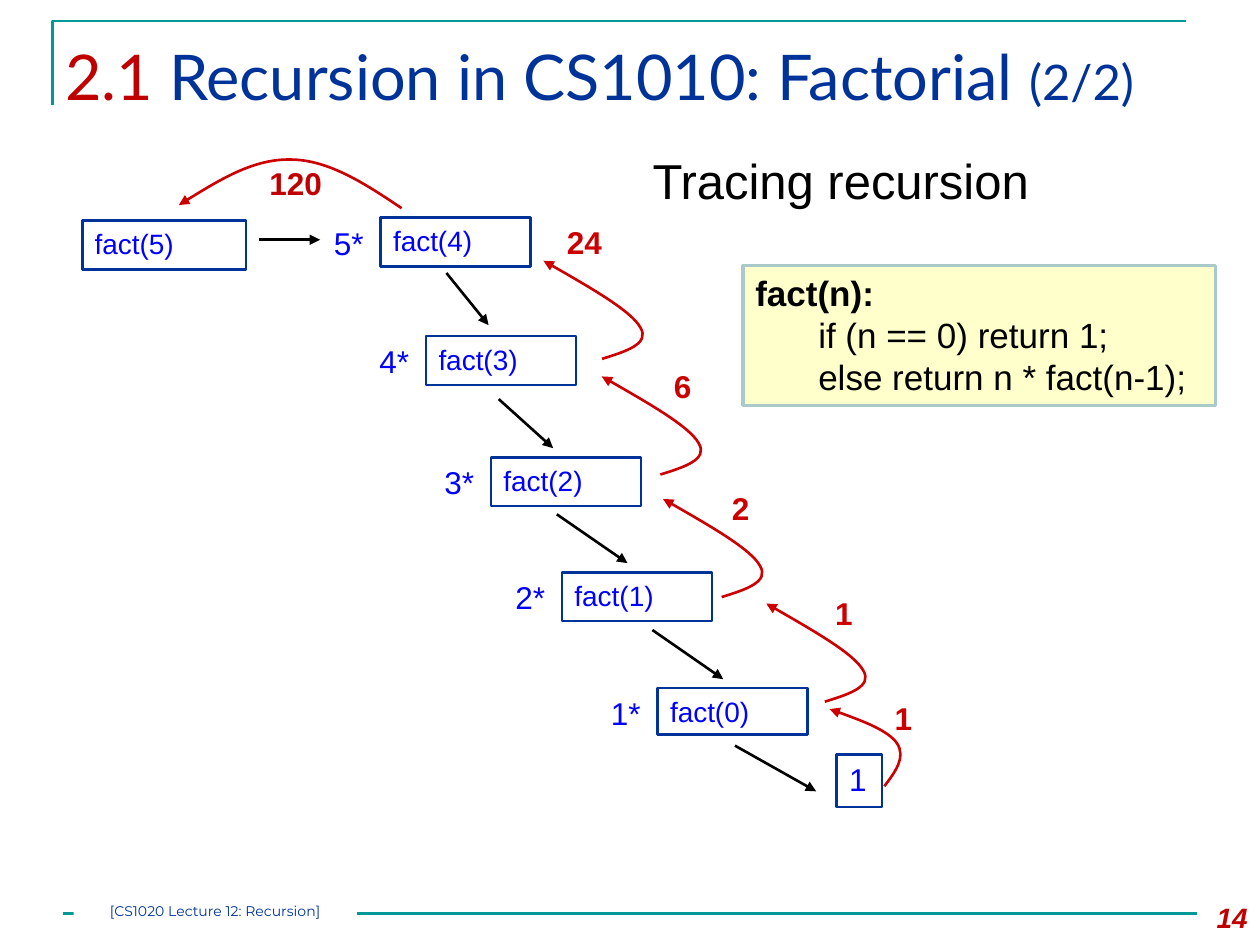
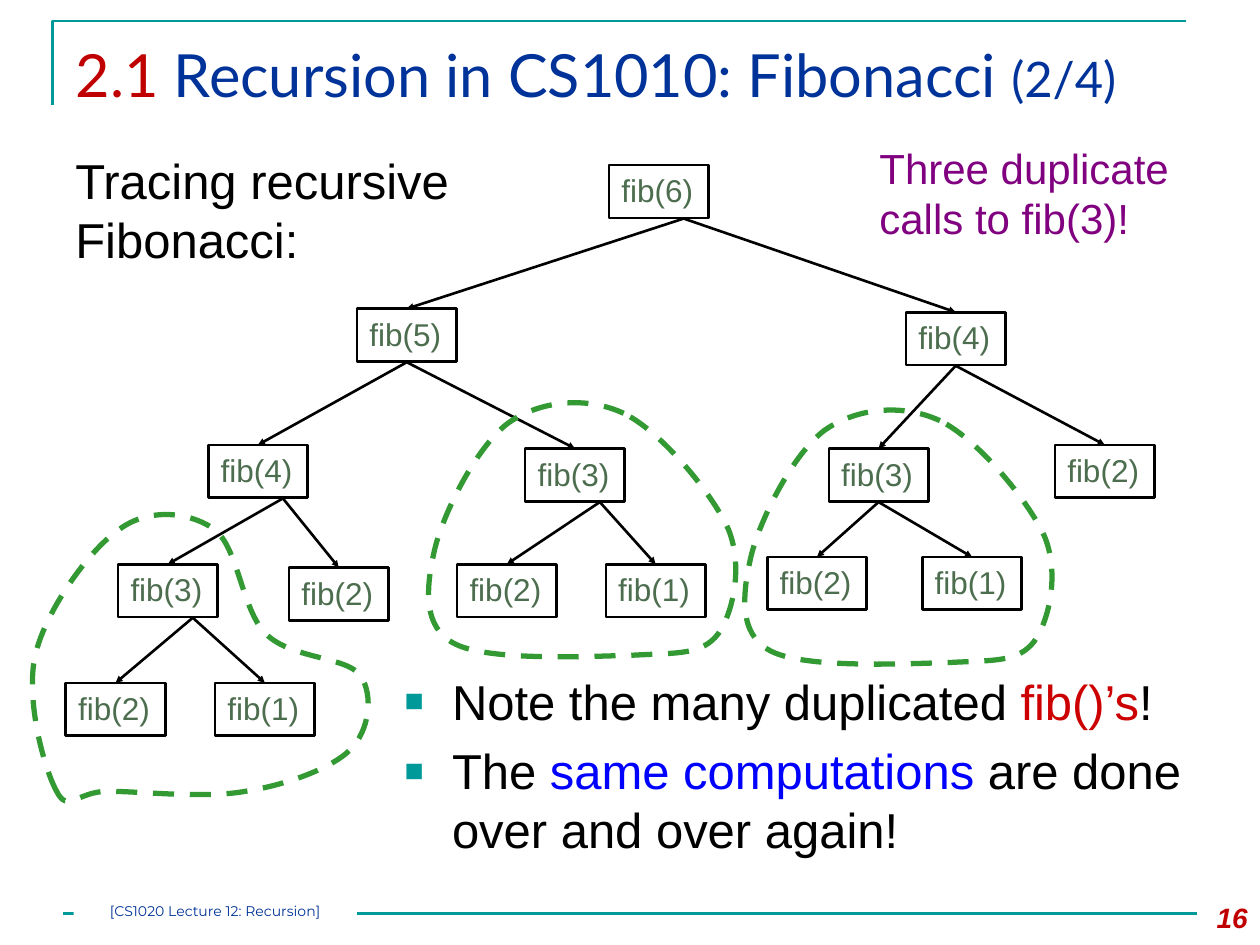
from lxml import etree
from pptx import Presentation
from pptx.dml.color import RGBColor
from pptx.enum.dml import MSO_LINE
from pptx.enum.shapes import MSO_CONNECTOR, MSO_SHAPE
from pptx.enum.text import MSO_ANCHOR, PP_ALIGN
from pptx.oxml.ns import qn
from pptx.util import Pt

DASH = MSO_LINE.DASH
STRAIGHT = MSO_CONNECTOR.STRAIGHT
RECT = MSO_SHAPE.RECTANGLE
TOP = MSO_ANCHOR.TOP
LEFT, CENTER, RIGHT = PP_ALIGN.LEFT, PP_ALIGN.CENTER, PP_ALIGN.RIGHT

# Colours
BLACK = RGBColor(0x00, 0x00, 0x00)
WHITE = RGBColor(0xFF, 0xFF, 0xFF)
TEAL = RGBColor(0x00, 0x99, 0x99)
NAVY = RGBColor(0x00, 0x33, 0x99)
BLUE = RGBColor(0x00, 0x00, 0xFF)
CRIMSON = RGBColor(0xC0, 0x00, 0x00)
RED = RGBColor(0xCC, 0x00, 0x00)
GREEN = RGBColor(0x33, 0x99, 0x33)
MOSS = RGBColor(0x4C, 0x6D, 0x4E)
PURPLE = RGBColor(0x80, 0x00, 0x80)
CREAM = RGBColor(0xFF, 0xFF, 0xCC)
MIST = RGBColor(0xAA, 0xCA, 0xCA)

# Factorial trace: corner and fill of fact(4) to fact(0), and the call arrows
CALLS = [(217.5, 124.2, None), (243.5, 192, None), (280.6, 261.3, None),
         (321.2, 327, WHITE), (375.8, 393.1, WHITE)]
STEPS = [
    (148.3, 137, 182.9, 137), (255.1, 156, 279.2, 185.8),
    (285, 228.1, 316.1, 256.1), (318.2, 293.9, 358.6, 321.8),
    (372.8, 360, 413.3, 388.1), (420, 426.1, 466.4, 452.2),
]
# Return arrows share one bend, given relative to the arrow tip
BEND = [(33.5, 56.1), (47.2, 51.8), (61, 47.5), (55.4, 38.2),
        (50.2, 28.8), (25.1, 14.4), (0, 0)]
TIPS = [(310.6, 149), (343.9, 215.1), (378.9, 285.1), (437.9, 344.9)]
FIRST = [(505.4, 449.3), (511.9, 440.6), (517.7, 432.7), (512.6, 424.8),
         (507.6, 417.6), (491, 411.1), (474, 405.2)]
LAST = [(229.5, 119), (208.8, 105.1), (187.9, 91.4), (166.3, 91.2),
        (145.4, 90.7), (123.8, 103.7), (102.2, 117.2)]
# Value, left, top, width
VALUES = [
    ("120", 146.9, 90, 44.6), ("24", 316.8, 123.8, 34.6), ("6", 378, 206, 24.5),
    ("2", 411.1, 275.8, 24.5), ("1", 470.2, 336.2, 24.5), ("1", 504.2, 396, 24.5),
]

# Fibonacci tree: left, top, exit point as a share of the width, two subtrees
MID, SIDE = 0.5, 0.75
NODE_W, NODE_H = 56.9, 30.2
TREE = (348, 94.3, SIDE,
        (204, 176.4, MID,
         (119, 254.2, SIDE,
          (67.5, 322.4, SIDE, (37.6, 390.2), (122.9, 390.2)),
          (165.1, 324.3)),
         (300.1, 256.3, SIDE, (261.2, 322.4), (346.2, 322.4))),
        (517.7, 178.4, MID,
         (473.6, 256.3, MID, (438.4, 318.3), (527, 318.3)),
         (602.8, 254.2)))

# Loops round the duplicate calls: knots with the handles between them
LOOP = [
    (356.4, 236.2), (334.8, 226.1), (308.2, 229), (290.2, 241.9), (272.2, 255.6),
    (253.4, 293), (248.4, 313.9), (243.4, 335.5), (241.2, 358.6), (259.9, 367.9),
    (279.4, 378), (337, 375.1), (362.2, 374.4), (387.4, 373), (401, 374.4),
    (410.4, 362.2), (419, 349.9), (424.8, 323.3), (416.2, 302.4), (406.8, 281.5),
    (377.3, 246.2), (356.4, 236.2),
]
WIDE = [
    (32.4, 452.2), (25.2, 439.2), (14.4, 399.6), (20.2, 374.4), (25.9, 349.2),
    (51.1, 313.9), (68.4, 302.4), (85, 290.2), (108, 292.3), (122.4, 302.4),
    (136.1, 312.5), (138.2, 348.5), (151.9, 362.2), (166.3, 376.6), (198, 375.1),
    (205.9, 385.9), (213.8, 397.4), (211, 417.6), (200.2, 428.4), (189.4, 439.2),
    (163.4, 448.6), (140.4, 452.2), (117.4, 456.5), (79.9, 452.2), (61.9, 452.2),
    (43.9, 452.2), (38.9, 465.1), (32.4, 452.2),
]


def add_xml(parent, tag, **attrs):
    return etree.SubElement(parent, qn(tag), attrs)


def shift(points, dx, dy):
    return [(x + dx, y + dy) for x, y in points]


def stroke(shape, color, width=1.5, head=None):
    """Set the line, with an optional arrowhead of the given size."""
    shape.line.color.rgb = color
    shape.line.width = Pt(width)
    if head:
        ln = shape.element.spPr.find(qn("a:ln"))
        add_xml(ln, "a:tailEnd", type="triangle", w=head, len=head)


def bullet(para):
    props = para._p.get_or_add_pPr()
    props.set("marL", str(Pt(27)))
    props.set("indent", str(-Pt(27)))
    add_xml(add_xml(props, "a:buClr"), "a:srgbClr", val=str(TEAL))
    add_xml(props, "a:buSzPct", val="65000")
    add_xml(props, "a:buFont", typeface="Arial")
    add_xml(props, "a:buChar", char="■")


def text(slide, box, paras, size=18, color=BLACK, font="Arial", bold=False,
         italic=False, align=LEFT, wrap=True, inset=True, fill=None, edge=None,
         width=1.5, bullets=False, gap=0):
    """Add text; a paragraph is a string or a list of (text, format) runs."""
    place = [Pt(v) for v in box]
    if fill or edge:
        shape = slide.shapes.add_shape(RECT, *place)
        shape.shadow.inherit = False
        if fill:
            shape.fill.solid()
            shape.fill.fore_color.rgb = fill
        else:
            shape.fill.background()
        if edge:
            stroke(shape, edge, width)
        else:
            shape.line.fill.background()
    else:
        shape = slide.shapes.add_textbox(*place)
    frame = shape.text_frame
    frame.word_wrap = wrap
    frame.vertical_anchor = TOP
    pad_x, pad_y = (7.2, 3.6) if inset else (0, 0)
    frame.margin_left = frame.margin_right = Pt(pad_x)
    frame.margin_top = frame.margin_bottom = Pt(pad_y)
    for i, runs in enumerate([paras] if isinstance(paras, str) else paras):
        para = frame.add_paragraph() if i else frame.paragraphs[0]
        para.alignment = align
        if bullets:
            bullet(para)
        if i and gap:
            para.space_before = Pt(gap)
        for words, form in [(runs, {})] if isinstance(runs, str) else runs:
            for j, part in enumerate(words.split("\n")):
                if j:
                    para.add_line_break()
                run = para.add_run()
                run.text = part
                run.font.name = font
                run.font.size = Pt(form.get("size", size))
                run.font.bold = form.get("bold", bold)
                run.font.italic = italic
                run.font.color.rgb = form.get("color", color)
    return shape


def line(slide, ends, color=BLACK, head=None):
    link = slide.shapes.add_connector(STRAIGHT, *[Pt(v) for v in ends])
    stroke(link, color, head=head)
    add_xml(link.element.spPr, "a:effectLst")


def outline(slide, points, color, width=1.5, head=None, close=False):
    spots = [(Pt(x), Pt(y)) for x, y in points]
    form = slide.shapes.build_freeform(*spots[0], scale=1.0)
    form.add_line_segments(spots[1:], close=close)
    shape = form.convert_to_shape()
    shape.shadow.inherit = False
    shape.fill.background()
    stroke(shape, color, width, head)
    return shape


def curve(slide, knots, color, **form):
    """Draw an outline, then turn each three segments into one cubic curve."""
    shape = outline(slide, knots, color, **form)
    legs = list(shape.element.iter(qn("a:lnTo")))
    for i in range(0, len(legs), 3):
        bend = etree.Element(qn("a:cubicBezTo"))
        legs[i].addprevious(bend)
        for leg in legs[i:i + 3]:
            bend.append(leg[0])
            leg.getparent().remove(leg)
    return shape


def back(slide, knots):
    curve(slide, knots, RED, head="med")


def loop(slide, knots):
    curve(slide, knots, GREEN, width=3, close=True).line.dash_style = DASH


def base(deck, topic, part, number, box, size):
    """Start a slide with its frame, title and footer."""
    slide = deck.slides.add_slide(deck.slide_layouts[6])
    outline(slide, [(30, 60), (30, 12), (678, 12)], TEAL)
    line(slide, (36, 522, 684, 522), TEAL)
    text(slide, box, [[("2.1 ", {"color": CRIMSON}),
                       (f"Recursion in CS1010: {topic} ", {}),
                       (part, {"size": 28})]],
         size=size, color=NAVY, font="Lato")
    text(slide, (672, 511.2, 48, 28.8), number, size=16, color=CRIMSON,
         bold=True, italic=True, align=RIGHT)
    text(slide, (42, 516, 162, 12), "[CS1020 Lecture 12: Recursion]", size=8,
         color=NAVY, font="Montserrat", align=CENTER, inset=False, fill=WHITE)
    return slide


def call(slide, n, x, y, width=85.7, fill=None):
    text(slide, (x, y, width, 28 if n else 26.6), f"fact({n})", size=16,
         color=BLUE, edge=NAVY, fill=fill)


def node(slide, n, x, y, exit=MID, *kids):
    """Draw fib(n), then its calls to fib(n-1) and fib(n-2)."""
    text(slide, (x, y, NODE_W, NODE_H), f"fib({n})", color=MOSS, edge=BLACK, wrap=False)
    for less, kid in enumerate(kids, 1):
        node(slide, n - less, *kid)
        line(slide, (x + exit * NODE_W, y + NODE_H + 0.4,
                     kid[0] + NODE_W / 2, kid[1]), head="sm")


def trace(deck):
    slide = base(deck, "Factorial", "(2/2)", "14", (30.2, 18, 684, 62), 36)
    text(slide, (365.8, 82.5, 252, 41), "Tracing recursion", size=28)
    code = text(slide, (424.5, 151.7, 270, 79.9),
                [[("fact(n):", {"bold": True})],
                 "if (n == 0) return 1;", "else return n * fact(n-1);"],
                size=20, fill=CREAM, edge=MIST, width=2)
    for para in code.text_frame.paragraphs[1:]:
        para._p.get_or_add_pPr().set("marL", str(Pt(36)))
    # Calls going down
    call(slide, 5, 47, 126.2, 93.6)
    for i, (x, y, fill) in enumerate(CALLS):
        call(slide, 4 - i, x, y, fill=fill)
        text(slide, (x - 33.8, y, 31.7, 28.8), f"{5 - i}*", color=BLUE,
             wrap=False, fill=fill)
    text(slide, (478.1, 431, 25.9, 30.2), "1", color=BLUE, edge=NAVY,
         wrap=False, fill=WHITE)
    for ends in STEPS:
        line(slide, ends, head="med")
    # Values coming back
    for tip in TIPS:
        back(slide, shift(BEND, *tip))
    back(slide, FIRST)
    back(slide, LAST)
    for value, x, y, width in VALUES:
        text(slide, (x, y, width, 28.8), value, color=CRIMSON if value == "120" else RED,
             bold=True, wrap=False)


def tree(deck):
    slide = base(deck, "Fibonacci", "(2/4)", "16", (36.2, 18, 672, 54), 34)
    text(slide, (36, 82.4, 252, 74.9), "Tracing recursive Fibonacci:", size=28)
    text(slide, (224.2, 380.2, 462.2, 120.2),
         [[("Note the many duplicated ", {}), ("fib()’s", {"color": RED}), ("!", {})],
          [("The ", {}), ("same computations ", {"color": BLUE}),
           ("are done over and over again!", {})]],
         size=28, bullets=True, gap=6)
    node(slide, 6, *TREE)
    for knots in (WIDE, LOOP, shift(LOOP, 180.7, 4.2)):
        loop(slide, knots)
    text(slide, (495.4, 77.6, 188.6, 65.5), "Three duplicate \ncalls to fib(3)!",
         size=24, color=PURPLE, wrap=False)


def main():
    deck = Presentation()
    deck.slide_width, deck.slide_height = Pt(720), Pt(540)
    trace(deck)
    tree(deck)
    deck.save("out.pptx")


if __name__ == "__main__":
    main()
